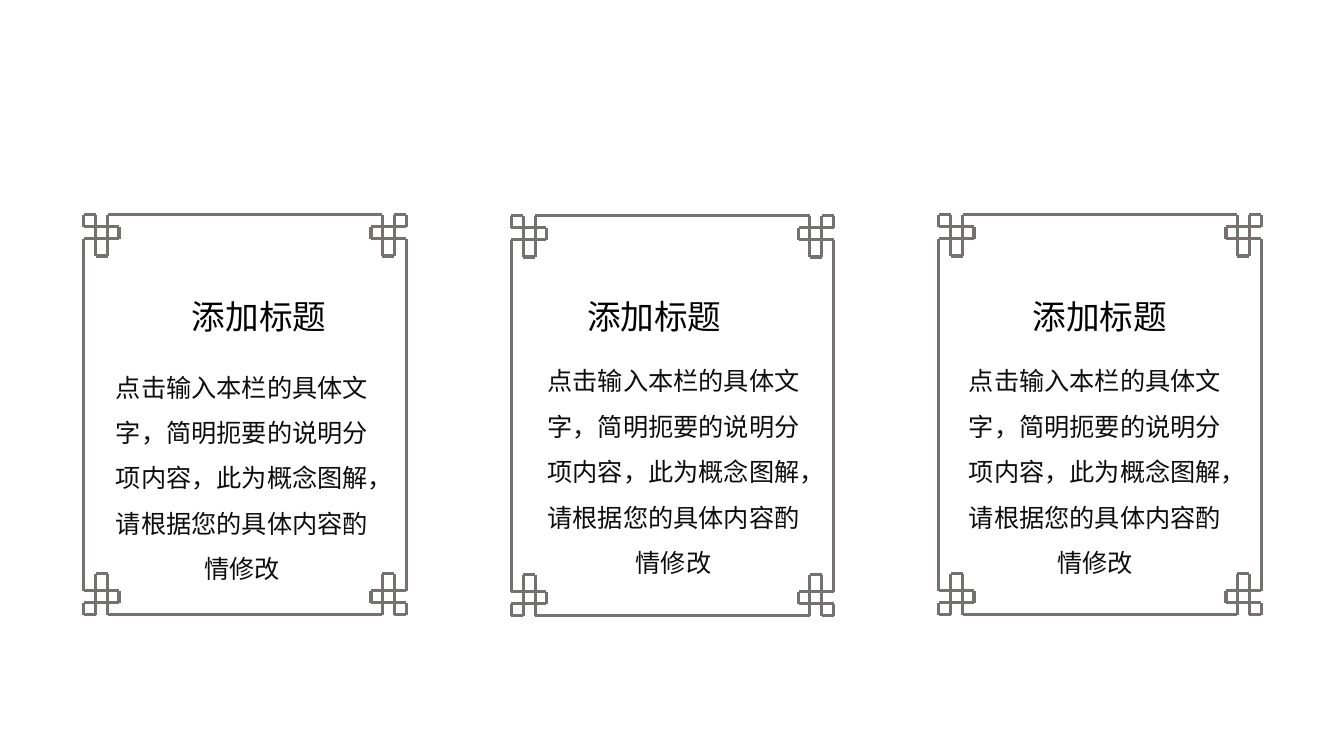
from dataclasses import dataclass
from itertools import product

from lxml.etree import SubElement
from pptx import Presentation
from pptx.dml.color import RGBColor
from pptx.enum.lang import MSO_LANGUAGE_ID as Lang
from pptx.enum.shapes import MSO_CONNECTOR as Connector
from pptx.enum.text import MSO_AUTO_SIZE as AutoSize, PP_ALIGN as Align
from pptx.oxml.ns import qn
from pptx.util import Inches, Pt


@dataclass(frozen=True)
class Theme:
    frame: RGBColor = RGBColor(0x76, 0x71, 0x71)
    title: RGBColor = RGBColor(0x00, 0x00, 0x00)
    body: RGBColor = RGBColor(0x0D, 0x0D, 0x0D)
    title_font: str = "Noto Sans CJK JP"
    body_font: str = "Noto Sans CJK SC"
    title_size: float = 24
    body_size: float = 18
    line_width: float = 2.25


@dataclass(frozen=True)
class Card:
    left: float
    top: float
    title_dx: float
    title_y: float
    body_dx: float
    body_y: float


THEME = Theme()
FRAME_W, FRAME_H = 3.2, 3.97
TITLE = "添加标题"
BODY = "点击输入本栏的具体文字，简明扼要的说明分项内容，此为概念图解，请根据您的具体内容酌情修改"

NEAR, MID, LONG, DEEP = 0.12, 0.24, 0.35, 0.41
KNOT = [
    (0, MID, LONG, MID),
    (0, NEAR, LONG, NEAR),
    (LONG, MID, LONG, NEAR),
    (0, NEAR, 0, 0),
    (NEAR, 0, 0, 0),
    (NEAR, DEEP, NEAR, 0),
    (MID, DEEP, NEAR, DEEP),
    (MID, DEEP, MID, 0),
]
CARDS = [
    Card(0.83, 2.13, 0.78, 0.76, 0.15, 1.36),
    Card(5.07, 2.14, 0.46, 0.75, 0.19, 1.29),
    Card(9.31, 2.13, 0.64, 0.76, 0.13, 1.3),
]


def add_line(shapes, x1, y1, x2, y2):
    line = shapes.add_connector(
        Connector.STRAIGHT, Inches(x1), Inches(y1), Inches(x2), Inches(y2))
    line.line.color.rgb = THEME.frame
    line.line.width = Pt(THEME.line_width)
    SubElement(line._element.spPr, qn("a:effectLst"))


def add_frame(s, left, top, width, height):
    shapes = s.shapes.add_group_shape().shapes
    right, bottom = left + width, top + height
    for y in (top, bottom):
        add_line(shapes, left + MID, y, right - MID, y)
    for x in (left, right):
        add_line(shapes, x, top + MID, x, bottom - MID)
    for (x, dx), (y, dy) in product(
            ((left, 1), (right, -1)), ((top, 1), (bottom, -1))):
        for x1, y1, x2, y2 in KNOT:
            add_line(shapes, x + dx * x1, y + dy * y1,
                     x + dx * x2, y + dy * y2)


def add_text(s, box, text, font, size, color, spacing=None):
    tf = s.shapes.add_textbox(*map(Inches, box)).text_frame
    tf.word_wrap = True
    tf.auto_size = AutoSize.SHAPE_TO_FIT_TEXT
    p = tf.paragraphs[0]
    p.alignment = Align.CENTER
    p.line_spacing = spacing
    r = p.add_run()
    r.text = text
    r.font.name = font
    r.font.size = Pt(size)
    r.font.color.rgb = color
    r.font.language_id = Lang.SIMPLIFIED_CHINESE
    SubElement(r.font._element, qn("a:ea"), typeface=font)


def add_card(s, card):
    add_frame(s, card.left, card.top, FRAME_W, FRAME_H)
    add_text(s, (card.left + card.body_dx, card.top + card.body_y, 2.84, 2.37),
             BODY, THEME.body_font, THEME.body_size, THEME.body, 1.5)
    add_text(s, (card.left + card.title_dx, card.top + card.title_y, 1.92, 0.5),
             TITLE, THEME.title_font, THEME.title_size, THEME.title)


def main():
    prs = Presentation()
    prs.slide_width, prs.slide_height = Inches(13.33), Inches(7.5)
    s = prs.slides.add_slide(prs.slide_layouts[6])
    for card in CARDS:
        add_card(s, card)
    prs.save("out.pptx")


if __name__ == "__main__":
    main()
